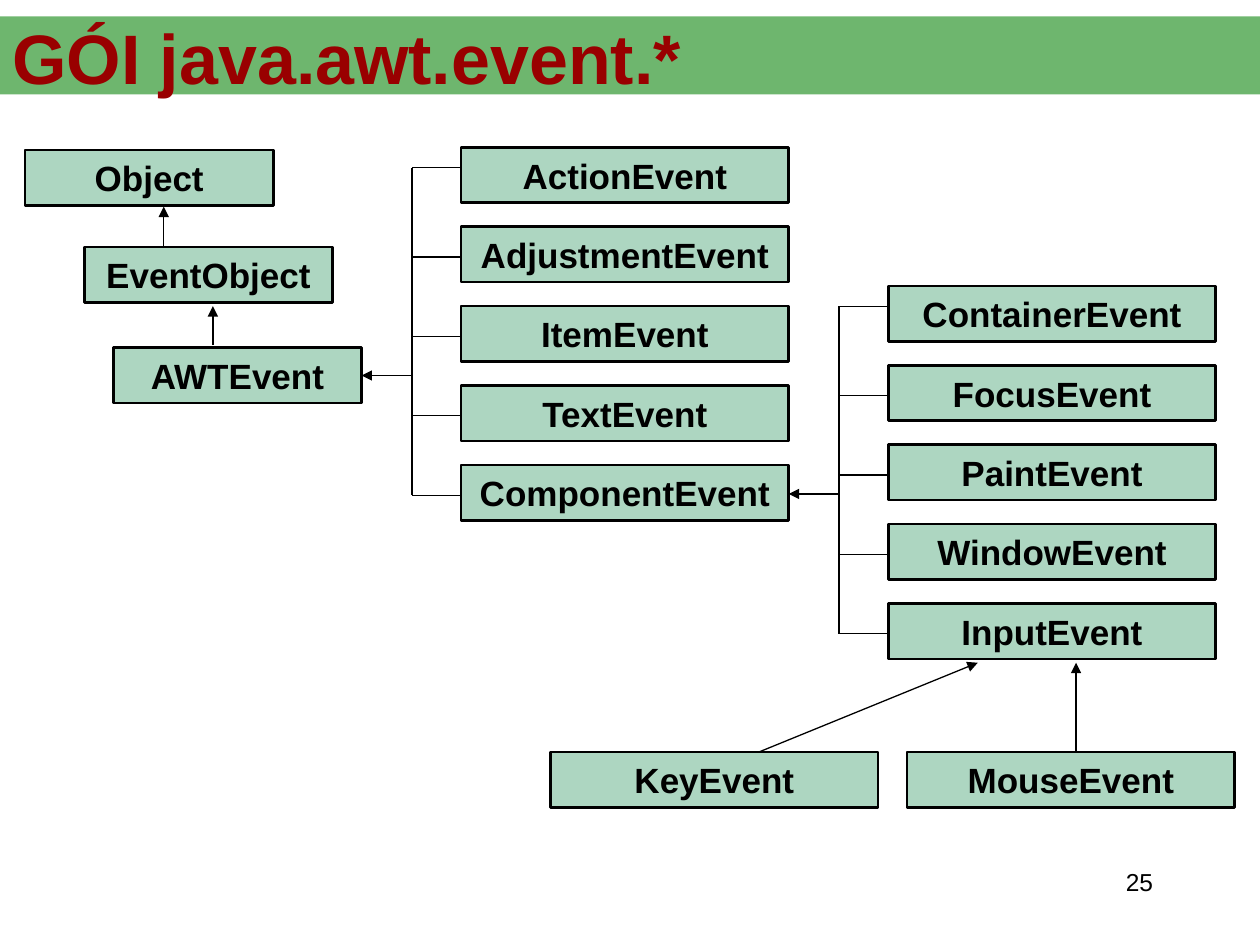
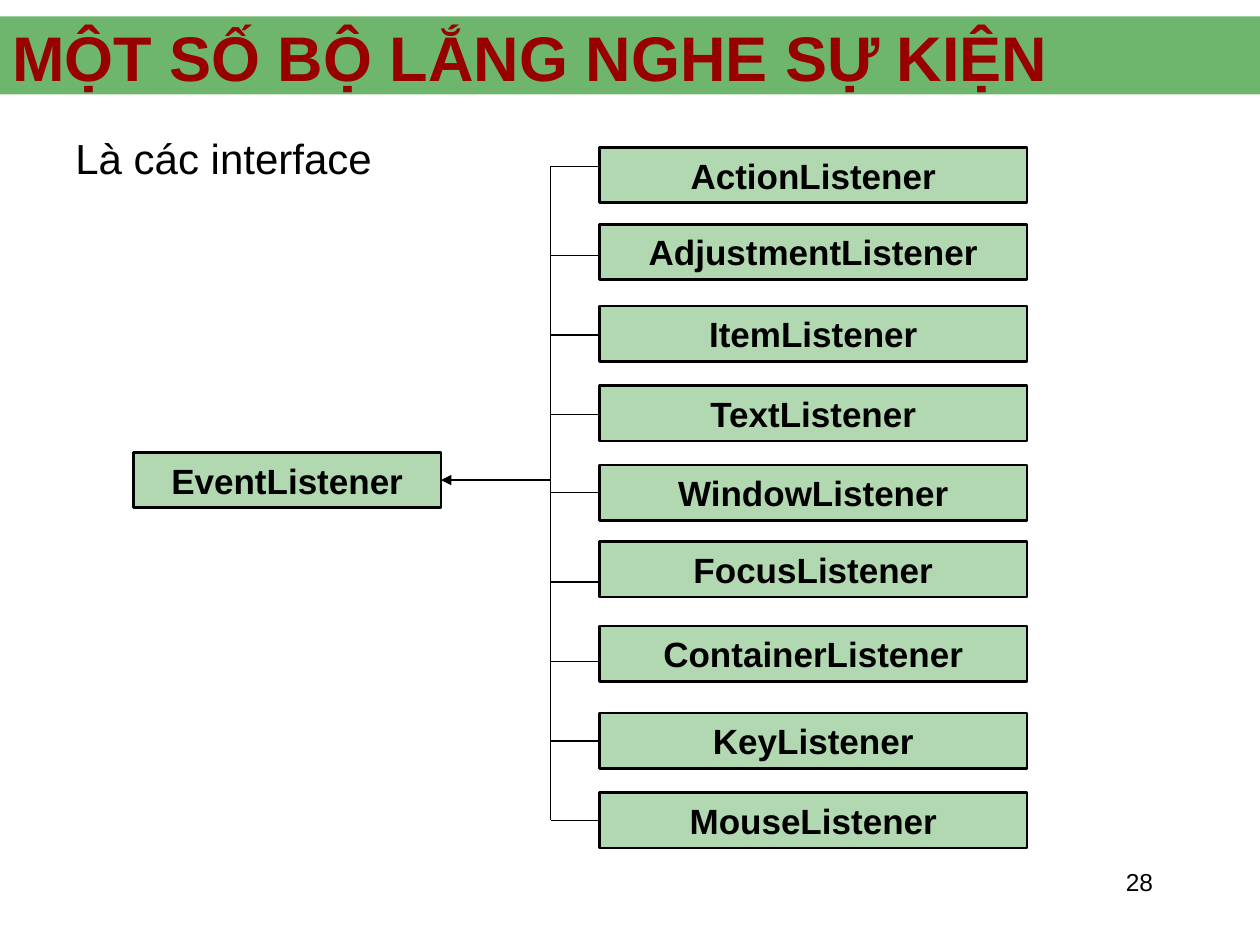
import dataclasses

import pptx
import pptx.dml.color
import pptx.enum.shapes
import pptx.enum.text
import pptx.oxml
import pptx.oxml.ns
import pptx.util

Inches = pptx.util.Inches
Align = pptx.enum.text.PP_ALIGN
Anchor = pptx.enum.text.MSO_ANCHOR


@dataclasses.dataclass(frozen=True)
class Theme:
    """Colours, type sizes and line widths shared by the slides."""
    font: str = "Arial"
    ink: str = "000000"
    title_ink: str = "990000"
    green: str = "008000"
    sea_green: str = "339966"
    band_opacity: int = 57
    event_opacity: int = 40
    listener_opacity: int = 30
    body_size: int = 24
    box_size: int = 20
    number_size: int = 14
    border: float = 1.5
    link: float = 0.75


THEME = Theme()
BOX_HEIGHT = 0.44
BOX_PITCH = 0.63
BRACKET_HEIGHT = 2.6
BRACKET_ARM = 0.39
BRACKET_TICKS = (0, 0.71, 1.34, 1.97, 2.6)


def rgb(value):
    """Turn a hex string into a colour."""
    return pptx.dml.color.RGBColor.from_string(value)


def write(shape, text, size, color=THEME.ink, bold=False, align=Align.LEFT, anchor=Anchor.MIDDLE):
    """Put one formatted paragraph into a shape."""
    frame = shape.text_frame
    frame.word_wrap = True
    frame.vertical_anchor = anchor
    frame.margin_left = frame.margin_right = Inches(0.1)
    frame.margin_top = frame.margin_bottom = Inches(0.05)
    para = frame.paragraphs[0]
    para.alignment = align
    span = para.add_run()
    span.text = text
    span.font.name = THEME.font
    span.font.size = pptx.util.Pt(size)
    span.font.bold = bold
    span.font.color.rgb = rgb(color)


def add_text(page, bounds, text, size, **style):
    """Add a text box at bounds (left, top, width, height)."""
    write(page.shapes.add_textbox(*map(Inches, bounds)), text, size, **style)


def add_rectangle(page, bounds, color, opacity):
    """Add a borderless, partly transparent rectangle."""
    box = page.shapes.add_shape(pptx.enum.shapes.MSO_SHAPE.RECTANGLE, *map(Inches, bounds))
    box.shadow.inherit = False
    box.fill.solid()
    box.fill.fore_color.rgb = rgb(color)
    solid = box._element.spPr.find(pptx.oxml.ns.qn("a:solidFill"))
    alpha = pptx.oxml.parse_xml(f'<a:alpha {pptx.oxml.ns.nsdecls("a")} val="{opacity * 1000}"/>')
    solid[0].append(alpha)
    box.line.fill.background()
    return box


def add_class_box(page, left, top, width, name, color, opacity):
    """Add a bordered box holding a class name."""
    box = add_rectangle(page, (left, top, width, BOX_HEIGHT), color, opacity)
    box.line.color.rgb = rgb(THEME.ink)
    box.line.width = pptx.util.Pt(THEME.border)
    write(box, name, THEME.box_size, bold=True, align=Align.CENTER)


def add_event_box(page, left, top, name, width=2.6):
    """Add a class box in the colours of the event hierarchy."""
    add_class_box(page, left, top, width, name, THEME.sea_green, THEME.event_opacity)


def add_listener_box(page, left, top, name, width=3.39):
    """Add a class box in the colours of the listener hierarchy."""
    add_class_box(page, left, top, width, name, THEME.green, THEME.listener_opacity)


def add_link(page, start, end, arrow=False):
    """Draw a thin line, with an arrowhead at its end if asked."""
    link = page.shapes.add_connector(
        pptx.enum.shapes.MSO_CONNECTOR.STRAIGHT, *map(Inches, (*start, *end)))
    link.line.color.rgb = rgb(THEME.ink)
    link.line.width = pptx.util.Pt(THEME.link)
    namespace = pptx.oxml.ns.nsdecls("a")
    if arrow:
        head = pptx.oxml.parse_xml(f'<a:tailEnd {namespace} type="triangle"/>')
        link.line._get_or_add_ln().append(head)
    link._element.spPr.append(pptx.oxml.parse_xml(f"<a:effectLst {namespace}/>"))


def add_bracket(page, left, top, ticks=BRACKET_TICKS):
    """Draw a vertical spine with arms reaching right to a column of boxes."""
    add_link(page, (left, top), (left, top + BRACKET_HEIGHT))
    for tick in ticks:
        add_link(page, (left + BRACKET_ARM, top + tick), (left, top + tick))


def add_event_family(page, left, top, names):
    """Place an evenly spaced column of event boxes with its bracket."""
    for row, name in enumerate(names):
        add_event_box(page, left, top + row * BOX_PITCH, name)
    add_bracket(page, left - BRACKET_ARM, top + 0.16)


def add_page(deck, title, title_size, number):
    """Add a slide with its title band and page number."""
    page = deck.slides.add_slide(deck.slide_layouts[6])
    add_text(page, (7.17, 6.83, 2.08, 0.5), number, THEME.number_size,
             align=Align.RIGHT, anchor=Anchor.TOP)
    add_rectangle(page, (0, 0.13, 10, 0.62), THEME.green, THEME.band_opacity)
    add_text(page, (0, 0.24, 10, 0.42), title, title_size, color=THEME.title_ink, bold=True)
    return page


def build_events(deck):
    """Build the slide with the event class hierarchy."""
    page = add_page(deck, "GÓI java.awt.event.*", 40, "25")
    for left, top, name in ((0.2, 1.19, "Object"), (0.67, 1.96, "EventObject"),
                            (0.9, 2.76, "AWTEvent")):
        add_event_box(page, left, top, name, width=1.97)
    add_event_family(page, 3.66, 1.17, (
        "ActionEvent", "AdjustmentEvent", "ItemEvent", "TextEvent", "ComponentEvent"))
    add_event_family(page, 7.05, 2.27, (
        "ContainerEvent", "FocusEvent", "PaintEvent", "WindowEvent", "InputEvent"))
    for left, name in ((4.37, "KeyEvent"), (7.2, "MouseEvent")):
        add_event_box(page, left, 5.97, name)
    for start, end in (((1.3, 1.96), (1.3, 1.64)), ((1.69, 2.74), (1.69, 2.43)),
                       ((3.27, 2.98), (2.87, 2.98)), ((6.65, 3.92), (6.26, 3.92)),
                       ((6.02, 5.97), (7.76, 5.26)), ((8.54, 5.97), (8.54, 5.26))):
        add_link(page, start, end, arrow=True)


def build_listeners(deck):
    """Build the slide with the listener interfaces."""
    page = add_page(deck, "MỘT SỐ BỘ LẮNG NGHE SỰ KIỆN", 36, "28")
    add_text(page, (0.5, 1, 3, 0.5), "Là các interface", THEME.body_size)
    add_listener_box(page, 1.06, 3.59, "EventListener", width=2.44)
    for top, name in ((1.17, "Action"), (1.78, "Adjustment"), (2.43, "Item"), (3.06, "Text"),
                      (3.69, "Window"), (4.3, "Focus"), (4.97, "Container"), (5.66, "Key"),
                      (6.29, "Mouse")):
        add_listener_box(page, 4.76, top, name + "Listener")
    add_bracket(page, 4.37, 1.32, BRACKET_TICKS[:-1])
    add_bracket(page, 4.37, 3.91)
    add_link(page, (4.37, 3.81), (3.5, 3.81), arrow=True)


deck = pptx.Presentation()
deck.slide_width, deck.slide_height = Inches(10), Inches(7.5)
build_events(deck)
build_listeners(deck)
deck.save("out.pptx")
